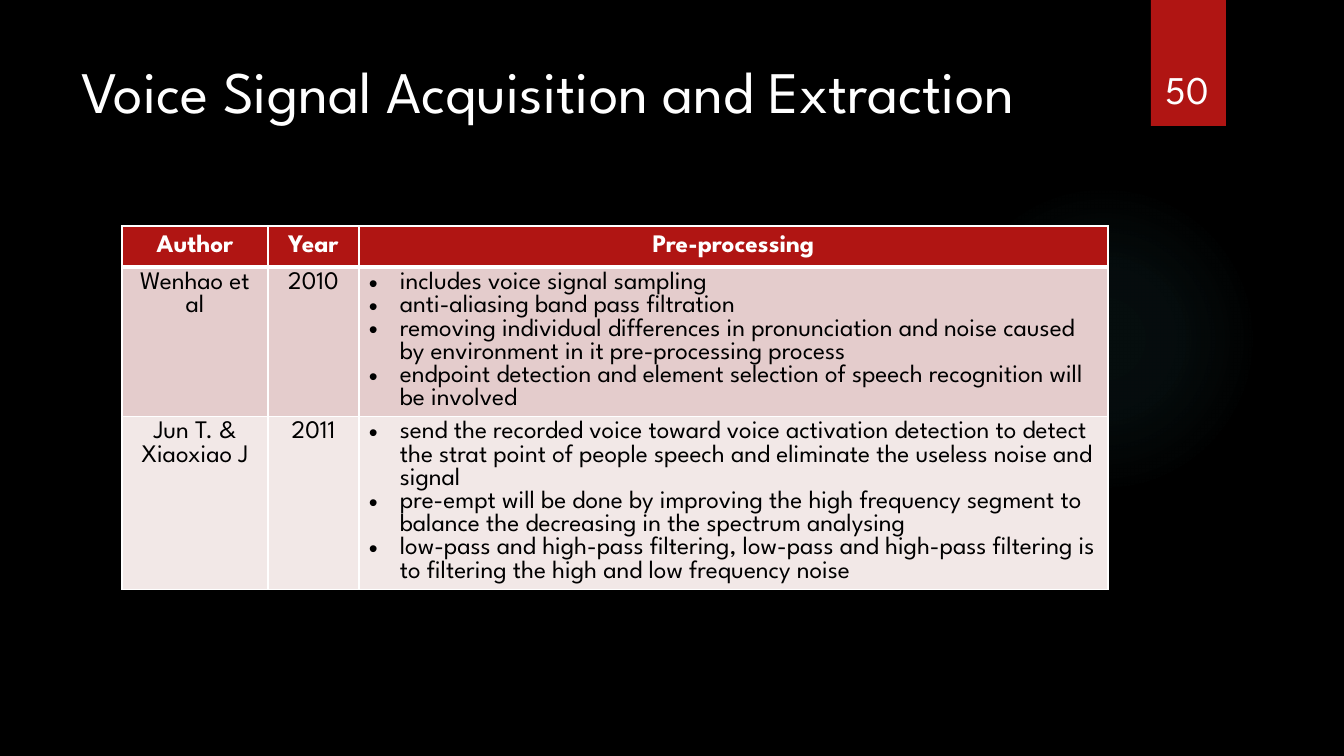
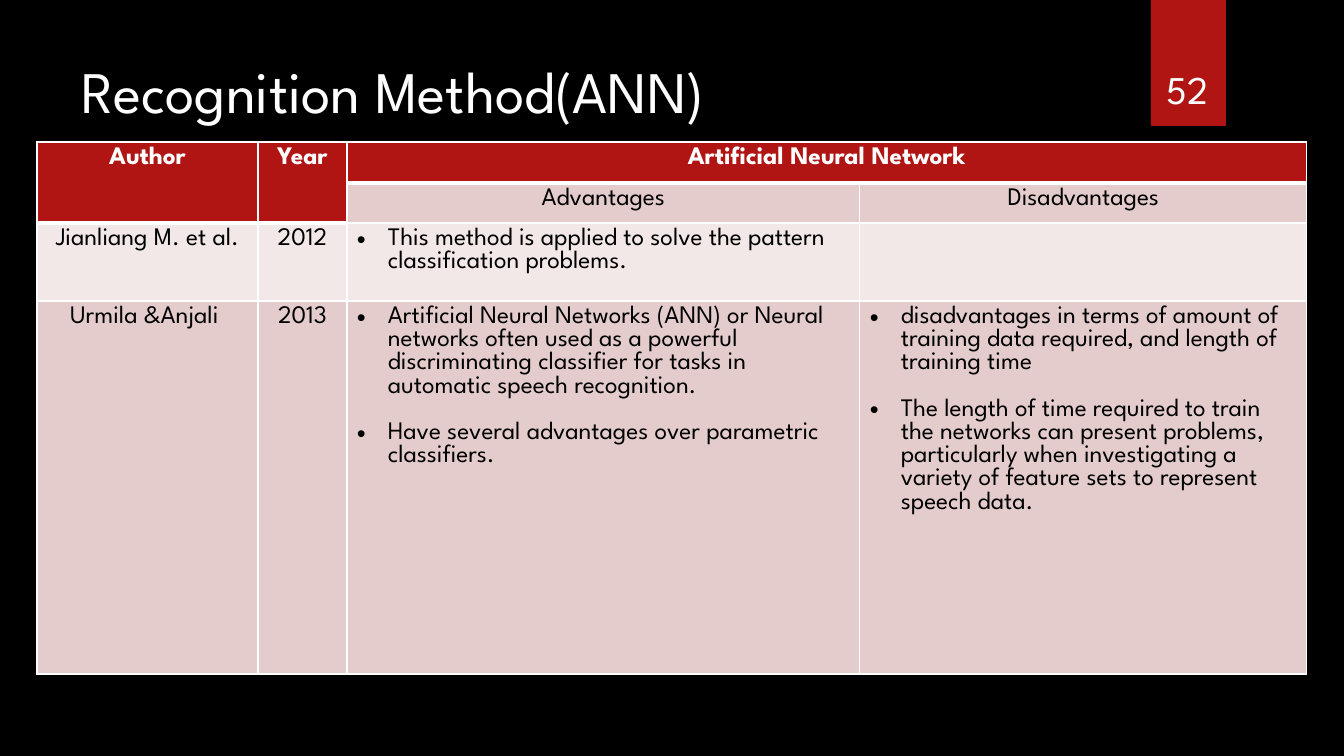
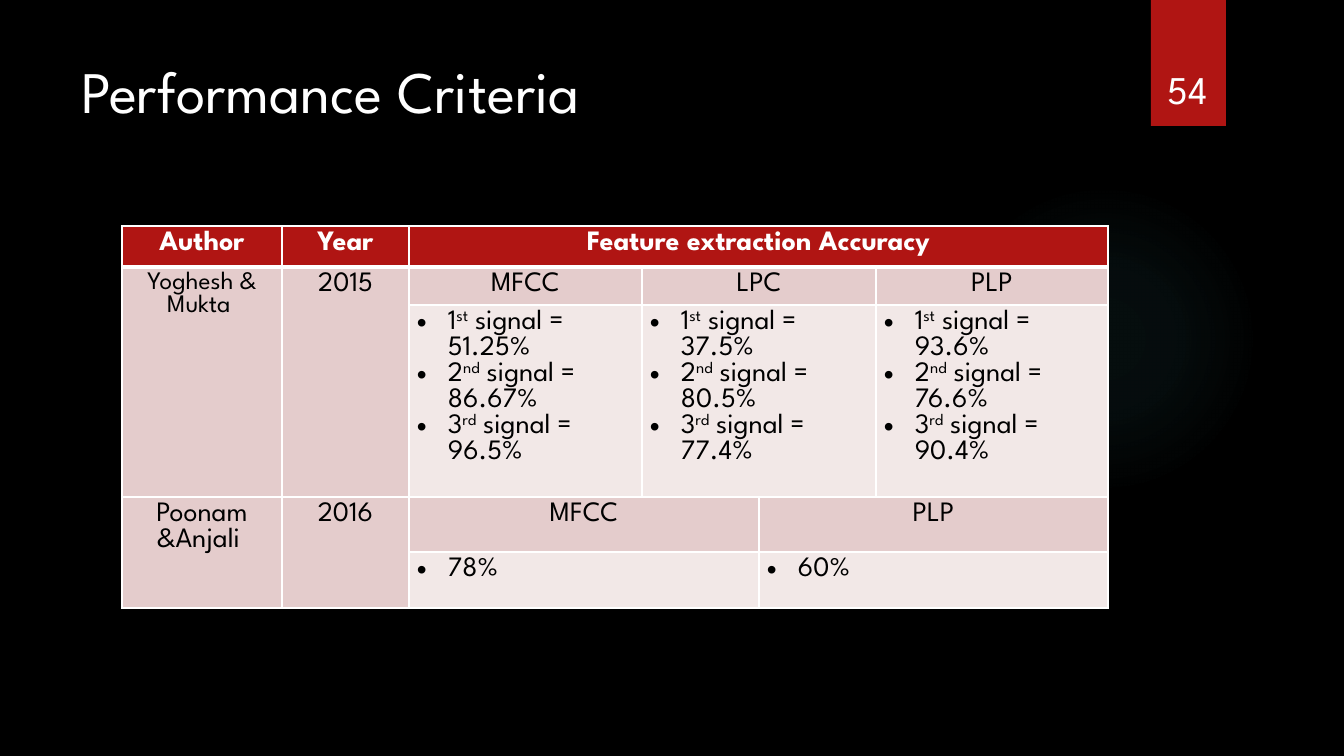
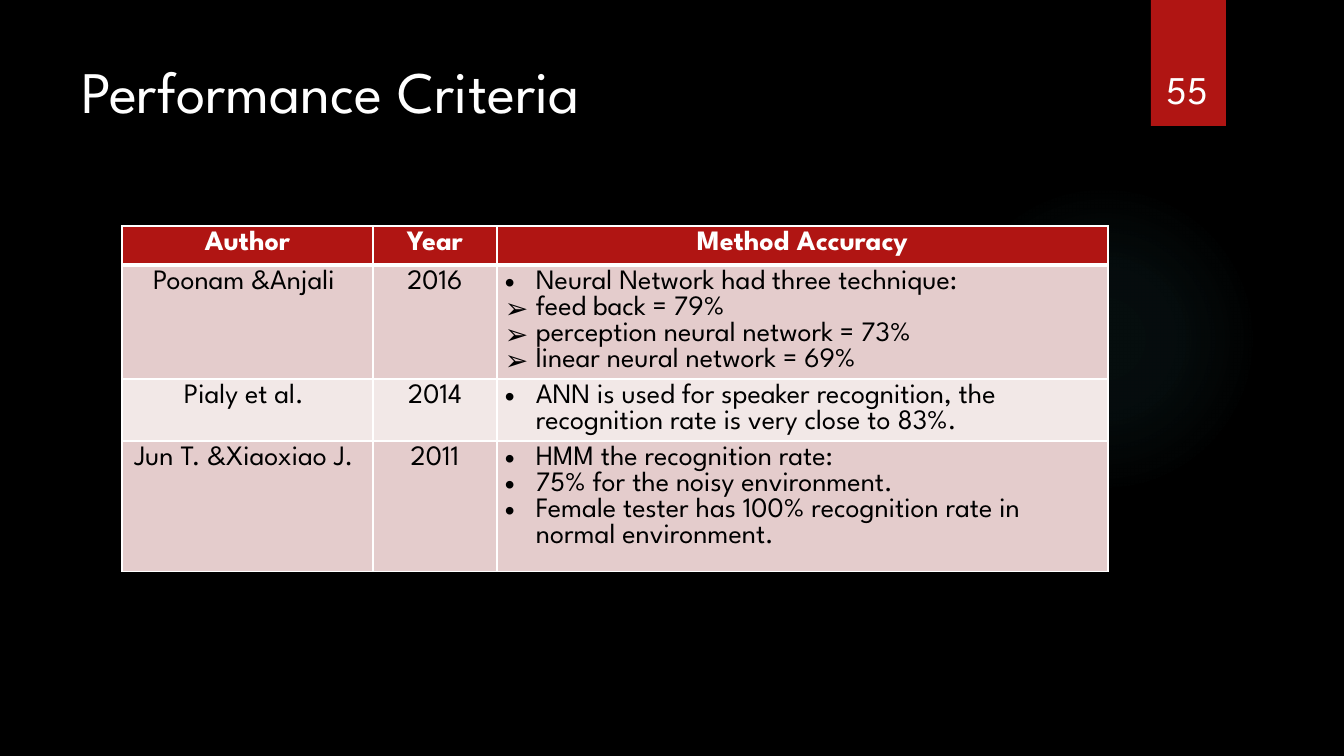
import lxml.etree
import pptx
import pptx.dml.color
import pptx.enum.shapes
import pptx.enum.text
import pptx.oxml.ns
import pptx.util

# ---- Content: each table is a grid; LEFT and UP continue a merged cell ----
LEFT, UP = "<", "^"

SLIDES = [
    dict(
        number="50", title="Voice Signal Acquisition and Extraction",
        at=(122, 226), cols=(146, 91, 749), rows=(41, 149, 173),
        size=18, margin=10, head_anchor="MIDDLE",
        cells=[
            ["Author", "Year", "Pre-processing"],
            ["Wenhao et al", "2010", [
                "includes voice signal sampling",
                "anti-aliasing band pass filtration",
                "removing individual differences in pronunciation and noise caused "
                "by environment in it pre-processing process",
                "endpoint detection and element selection of speech recognition "
                "will be involved"]],
            ["Jun T. & Xiaoxiao J", "2011", [
                "send the recorded voice toward voice activation detection to detect "
                "the strat point of people speech and eliminate the useless noise "
                "and signal",
                "pre-empt will be done by improving the high frequency segment to "
                "balance the decreasing in the spectrum analysing",
                "low-pass and high-pass filtering, low-pass and high-pass filtering "
                "is to filtering the high and low frequency noise"]],
        ]),
    dict(
        number="52", title="Recognition Method(ANN)",
        at=(37, 142), cols=(221, 89, 513, 447), rows=(41, 40, 78, 373),
        size=18, margin=10, gap=16.5,
        cells=[
            ["Author", "Year", "Artificial Neural Network", LEFT],
            [UP, UP, "Advantages", "Disadvantages"],
            ["Jianliang M. et al.", "2012",
             ["This method is applied to solve the pattern classification problems."],
             ""],
            ["Urmila &Anjali ", "2013", [
                "Artificial Neural Networks (ANN) or Neural networks often used as a "
                "powerful discriminating classifier for tasks in automatic speech "
                "recognition.",
                "Have several advantages over parametric classifiers."], [
                "disadvantages in terms of amount of training data required, and "
                "length of training time",
                "The length of time required to train the networks can present "
                "problems, particularly when investigating a variety of feature sets "
                "to represent speech data."]],
        ]),
    dict(
        number="54", title="Performance Criteria",
        at=(122, 226), cols=(160, 127, 233, 117, 117, 232),
        rows=(41, 38, 192, 55, 56), size=20, margin=8,
        small={(1, 0): 18},
        cells=[
            ["Author", "Year", "Feature extraction Accuracy", LEFT, LEFT, LEFT],
            ["Yoghesh & Mukta ", "2015", "MFCC", "LPC", LEFT, "PLP"],
            [UP, UP,
             ["1^st^ signal = 51.25%", "2^nd^ signal = 86.67%", "3^rd^ signal = 96.5%"],
             ["1^st^ signal = 37.5%", "2^nd^ signal = 80.5%", "3^rd^ signal = 77.4%"],
             LEFT,
             ["1^st^ signal = 93.6%", "2^nd^ signal = 76.6%", "3^rd^ signal = 90.4%"]],
            ["Poonam &Anjali ", "2016", "MFCC", LEFT, "PLP", LEFT],
            [UP, UP, ["78%"], LEFT, ["60%"], LEFT],
        ]),
    dict(
        number="55", title="Performance Criteria",
        at=(122, 226), cols=(251, 124, 611), rows=(39, 114, 62, 131),
        size=20, margin=8,
        cells=[
            ["Author", "Year", "Method Accuracy"],
            ["Poonam &Anjali ", "2016", [
                "Neural Network had three technique:",
                "➢feed back = 79%",
                "➢perception neural network = 73%",
                "➢linear neural network = 69%"]],
            ["Pialy et al. ", "2014", [
                "ANN is used for speaker recognition, the recognition rate is very "
                "close to 83%."]],
            ["Jun T. &Xiaoxiao J. ", "2011", [
                "HMM the recognition rate:",
                "75% for the noisy environment.",
                "Female tester has 100% recognition rate in normal environment."]],
        ]),
]

# ---- Shared style ----
FONT = "League Spartan"
BLACK, WHITE, RED, DARK, LIGHT, TEAL = (
    "000000", "FFFFFF", "B01513", "E4CCCC", "F2E8E7", "50B9C1")
GLOW = [(0, 7), (36, 6), (69, 0)]  # stop and opacity, percent
INDENT = 31
EMU_PER_PX = 914400 / 100.8

Pt = pptx.util.Pt
ALIGN = pptx.enum.text.PP_ALIGN
ANCHOR = pptx.enum.text.MSO_ANCHOR
SHAPE = pptx.enum.shapes.MSO_SHAPE
qn = pptx.oxml.ns.qn


def px(n):
    return pptx.util.Emu(round(n * EMU_PER_PX))


def rgb(color):
    return pptx.dml.color.RGBColor.from_string(color)


def apply(obj, values):
    for name, value in values.items():
        setattr(obj, name, value)


def element(parent, tag, **attrs):
    return lxml.etree.SubElement(parent, qn(tag), attrs)


def add_text(p, text, size, color, bold=False):
    """Add runs; the parts between ^ marks are raised."""
    for i, part in enumerate(text.split("^")):
        r = p.add_run()
        r.text = part
        apply(r.font, dict(name=FONT, size=Pt(size), bold=bold))
        r.font.color.rgb = rgb(color)
        if i % 2:
            r.font._element.set("baseline", "30000")


# ---- Parts on every slide ----
def add_plain_shape(slide, kind, box, color):
    sp = slide.shapes.add_shape(kind, *map(px, box))
    sp.shadow.inherit = False
    sp.line.fill.background()
    sp.fill.solid()
    sp.fill.fore_color.rgb = rgb(color)
    return sp


def add_glow(slide):
    sp = add_plain_shape(slide, SHAPE.OVAL, (949, 184, 310, 310), TEAL)
    solid = sp._element.spPr.find(qn("a:solidFill"))
    grad = lxml.etree.Element(qn("a:gradFill"))
    stops = element(grad, "a:gsLst")
    for pos, alpha in GLOW:
        stop = element(stops, "a:gs", pos=str(pos * 1000))
        clr = element(stop, "a:srgbClr", val=TEAL)
        element(clr, "a:alpha", val=str(alpha * 1000))
    radial = element(grad, "a:path", path="circle")
    element(radial, "a:fillToRect", l="50000", t="50000", r="50000", b="50000")
    solid.getparent().replace(solid, grad)


def add_title(slide, text):
    sp = slide.shapes.title
    apply(sp, dict(left=px(71), top=px(50), width=px(1037), height=px(154)))
    tf = sp.text_frame
    apply(tf, dict(vertical_anchor=ANCHOR.TOP, margin_top=px(5), word_wrap=True,
                   auto_size=pptx.enum.text.MSO_AUTO_SIZE.NONE))
    tf.paragraphs[0].alignment = ALIGN.LEFT
    add_text(tf.paragraphs[0], text, 42, WHITE)


def add_number(slide, text):
    tf = slide.shapes.add_textbox(*map(px, (1141, 32, 93, 85))).text_frame
    apply(tf, dict(word_wrap=True, vertical_anchor=ANCHOR.BOTTOM))
    tf.paragraphs[0].alignment = ALIGN.CENTER
    add_text(tf.paragraphs[0], text, 28, WHITE)


# ---- Tables ----
def find_owners(grid):
    """Map every position to the first cell of its merged area."""
    owners = {}
    for r, row in enumerate(grid):
        for c, value in enumerate(row):
            owners[r, c] = (owners[r, c - 1] if value == LEFT
                            else owners[r - 1, c] if value == UP else (r, c))
    return owners


def set_borders(cell, top, bottom):
    tcPr = cell._tc.get_or_add_tcPr()
    sides = [("a:lnL", 1), ("a:lnR", 1), ("a:lnT", top), ("a:lnB", bottom)]
    for i, (tag, width) in enumerate(sides):
        ln = lxml.etree.Element(qn(tag), {"w": str(Pt(width))})
        element(element(ln, "a:solidFill"), "a:srgbClr", val=WHITE)
        tcPr.insert(i, ln)


def add_bullet(p, char):
    pPr = p._p.get_or_add_pPr()
    pPr.set("marL", str(px(INDENT)))
    pPr.set("indent", str(-px(INDENT)))
    element(pPr, "a:buFont", typeface="Arial")
    element(pPr, "a:buChar", char=char)


def fill_text(cell, content, size, head, gap):
    tf = cell.text_frame
    color = WHITE if head else BLACK
    if isinstance(content, str):
        tf.paragraphs[0].alignment = ALIGN.CENTER
        if content:
            add_text(tf.paragraphs[0], content, size, color, head)
        return
    for i, text in enumerate(content):
        p = tf.add_paragraph() if i else tf.paragraphs[0]
        p.alignment = ALIGN.LEFT
        if i and gap:
            p.space_before = Pt(gap)
        add_bullet(p, "➢" if text.startswith("➢") else "•")
        add_text(p, text.lstrip("➢"), size, color)


def add_table(slide, data):
    grid, cols, rows = data["cells"], data["cols"], data["rows"]
    box = (*data["at"], sum(cols), sum(rows))
    table = slide.shapes.add_table(len(rows), len(cols), *map(px, box)).table
    for col, width in zip(table.columns, cols):
        col.width = px(width)
    for row, height in zip(table.rows, rows):
        row.height = px(height)

    owners = find_owners(grid)
    last = {owner: pos for pos, owner in owners.items()}
    for (r, c), owner in owners.items():
        cell = table.cell(r, c)
        head = owner[0] == 0
        under_head = r > 0 and not head and owners[r - 1, c][0] == 0
        apply(cell, dict(
            margin_left=px(data["margin"]), margin_right=px(data["margin"]),
            margin_top=px(5), margin_bottom=px(5),
            vertical_anchor=ANCHOR[data.get("head_anchor", "TOP") if head else "TOP"]))
        cell.fill.solid()
        cell.fill.fore_color.rgb = rgb(RED if head else DARK if owner[0] % 2 else LIGHT)
        set_borders(cell, 3 if under_head else 1, 3 if head else 1)
        if owner == (r, c):
            size = data.get("small", {}).get(owner, data["size"])
            fill_text(cell, grid[r][c], size, head, data.get("gap"))
    for first, end in last.items():
        if first != end:
            table.cell(*first).merge(table.cell(*end))


def main():
    prs = pptx.Presentation()
    apply(prs, dict(slide_width=px(1344), slide_height=px(756)))
    background = prs.slide_master.background.fill
    background.solid()
    background.fore_color.rgb = rgb(BLACK)
    for data in SLIDES:
        slide = prs.slides.add_slide(prs.slide_layouts[5])
        add_glow(slide)
        add_plain_shape(slide, SHAPE.RECTANGLE, (1151, 0, 75, 126), RED)
        add_title(slide, data["title"])
        add_table(slide, data)
        add_number(slide, data["number"])
    prs.save("out.pptx")


if __name__ == "__main__":
    main()
